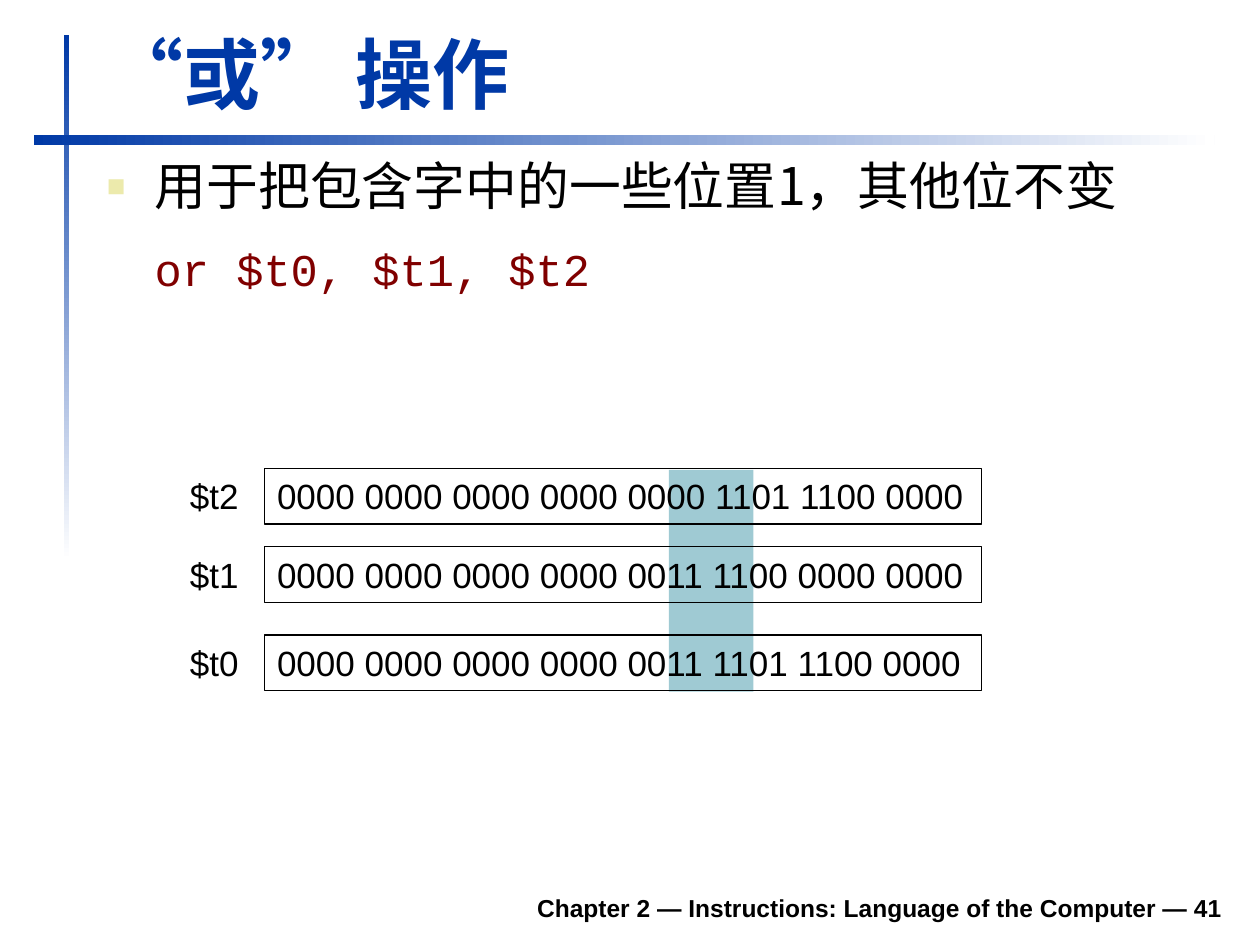
"""Build the slide on the bitwise OR operation."""
from dataclasses import dataclass

from lxml import etree
from pptx import Presentation
from pptx.dml.color import RGBColor
from pptx.enum.shapes import MSO_SHAPE
from pptx.enum.text import MSO_ANCHOR, MSO_AUTO_SIZE, PP_ALIGN
from pptx.oxml.ns import qn
from pptx.util import Inches, Pt

RECT = MSO_SHAPE.RECTANGLE
GROW = MSO_AUTO_SIZE.SHAPE_TO_FIT_TEXT
TOP, BOTTOM = MSO_ANCHOR.TOP, MSO_ANCHOR.BOTTOM
LEFT, RIGHT = PP_ALIGN.LEFT, PP_ALIGN.RIGHT
BLUE, BLACK, WHITE = "0039A6", "000000", "FFFFFF"
TEAL, MAROON, CREAM = "9FCAD3", "800000", "ECEAAC"
SANS, MONO, HAN = "Arial", "Courier New", "Noto Sans CJK SC"


@dataclass
class Box:
    left: float
    top: float
    width: float
    height: float

    def span(self) -> tuple:
        return tuple(map(Inches, (self.left, self.top, self.width, self.height)))


@dataclass
class Word:
    name: str
    bits: str
    top: float


WORDS = [
    Word("$t2", "0000 0000 0000 0000 0000 1101 1100 0000", 3.72),
    Word("$t1", "0000 0000 0000 0000 0011 1100 0000 0000", 4.34),
    Word("$t0", "0000 0000 0000 0000 0011 1101 1100 0000", 5.04),
]


def color(code: str) -> RGBColor:
    return RGBColor.from_string(code)


def rect(slide, box: Box):
    shape = slide.shapes.add_shape(RECT, *box.span())
    shape.shadow.inherit = False
    shape.fill.background()
    shape.line.fill.background()
    return shape


def fade(slide, box: Box, angle: int) -> None:
    fill = rect(slide, box).fill
    fill.gradient()
    fill.gradient_angle = angle
    for stop, code, spot in zip(fill.gradient_stops, (BLUE, WHITE), (0, 1)):
        stop.color.rgb = color(code)
        stop.position = spot


def frame(shape, anchor=TOP, wrap: bool = True):
    body = shape.text_frame
    body.word_wrap = wrap
    body.vertical_anchor = anchor
    return body


def write(para, text: str, *, size: float, font: str = SANS, code: str = BLACK,
          bold: bool = False, align=LEFT) -> None:
    para.alignment = align
    run = para.add_run()
    run.text = text
    face = run.font
    face.size, face.name, face.bold = Pt(size), font, bold
    face.color.rgb = color(code)
    east = etree.SubElement(run._r.get_or_add_rPr(), qn("a:ea"))
    east.set("typeface", HAN)


def indent(para, first: float, mark: str = "") -> None:
    props = para._p.get_or_add_pPr()
    props.set("marL", str(Inches(0.38)))
    props.set("indent", str(Inches(first)))
    if mark:
        hue = etree.SubElement(props, qn("a:buClr"))
        etree.SubElement(hue, qn("a:srgbClr")).set("val", CREAM)
        etree.SubElement(props, qn("a:buSzPct")).set("val", "60000")
        etree.SubElement(props, qn("a:buFont")).set("typeface", SANS)
        etree.SubElement(props, qn("a:buChar")).set("char", mark)
    para.line_spacing = 0.9


def draw_word(slide, word: Word) -> None:
    bar = rect(slide, Box(2.1, word.top, 5.69, 0.44))
    bar.line.color.rgb = color(BLACK)
    bar.line.width = Pt(0.75)
    label = slide.shapes.add_textbox(*Box(1.41, word.top, 0.6, 0.44).span())
    for shape, text in ((bar, word.bits), (label, word.name)):
        body = frame(shape, wrap=False)
        body.auto_size = GROW
        write(body.paragraphs[0], text, size=20)


def main() -> None:
    deck = Presentation()
    deck.slide_width, deck.slide_height = Inches(10), Inches(7.5)
    slide = deck.slides.add_slide(deck.slide_layouts[6])
    add = slide.shapes.add_textbox

    fade(slide, Box(0.51, 0.28, 0.04, 4.17), 270)
    fade(slide, Box(0.27, 1.07, 9.37, 0.08), 0)

    foot = frame(add(*Box(1.85, 6.98, 7.95, 0.39).span()), BOTTOM)
    write(foot.paragraphs[0], "Chapter 2 — Instructions: Language of the Computer — 41",
          size=14, bold=True, align=RIGHT)

    band = rect(slide, Box(5.31, 3.73, 0.67, 1.76))
    band.fill.solid()
    band.fill.fore_color.rgb = color(TEAL)

    title = frame(add(*Box(0.75, 0.16, 9.03, 0.83).span()), BOTTOM)
    write(title.paragraphs[0], "“或” 操作", size=44, code=BLUE, bold=True)

    body = frame(add(*Box(0.75, 1.23, 9.04, 1.73).span()))
    use = body.paragraphs[0]
    indent(use, -0.38, "■")
    write(use, "用于把包含字中的一些位置1，其他位不变", size=29.6, font=HAN)
    call = body.add_paragraph()
    indent(call, 0)
    call.space_before, call.space_after = Pt(17.5), Pt(10.5)
    write(call, "or $t0, $t1, $t2", size=25.9, font=MONO, code=MAROON)

    for word in WORDS:
        draw_word(slide, word)
    deck.save("out.pptx")


if __name__ == "__main__":
    main()
